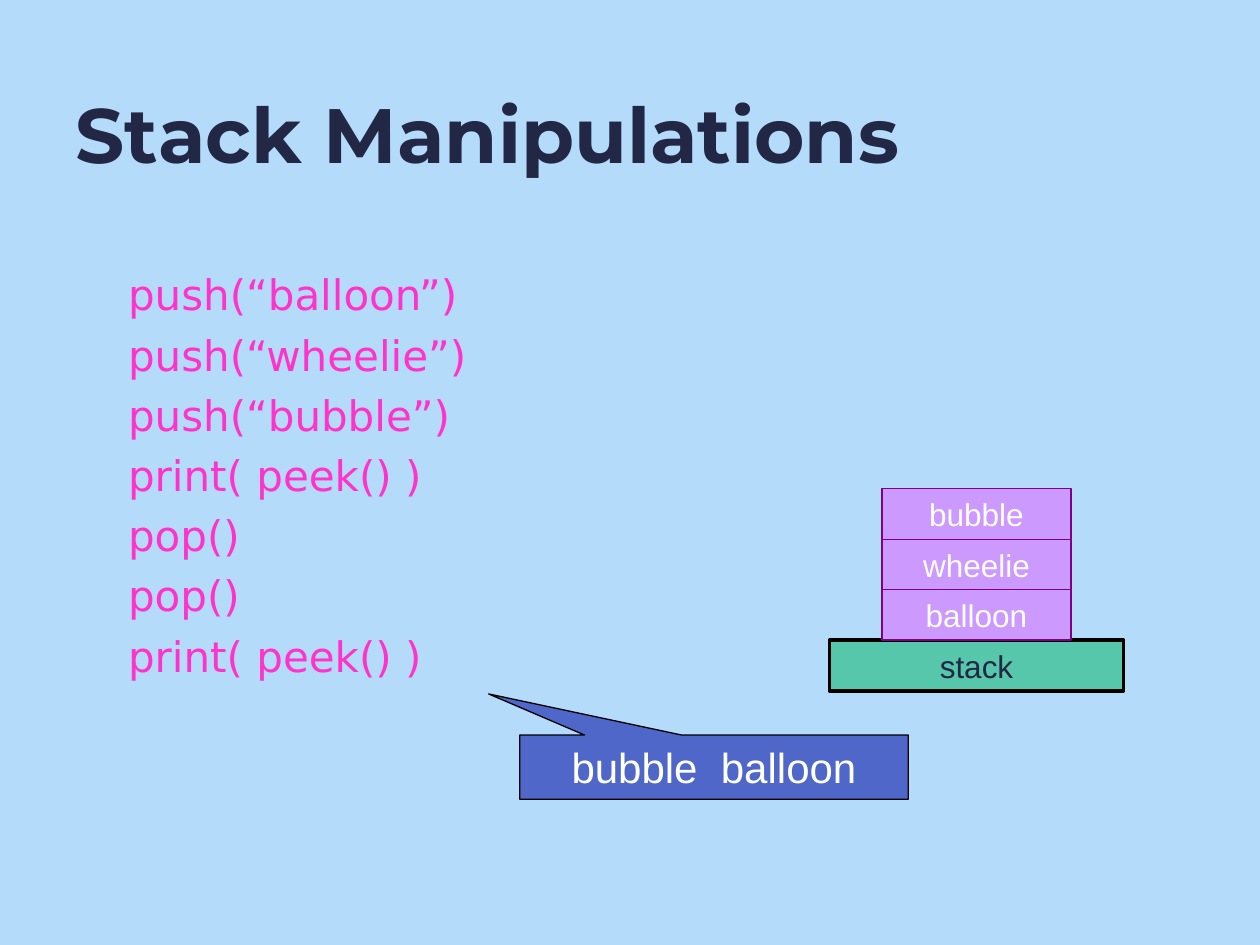
"""Build a slide that traces stack operations beside a drawn stack."""
from pptx import Presentation
from pptx.dml.color import RGBColor
from pptx.enum import shapes, text
from pptx.util import Pt


def paint(fill, tone):
    fill.solid()
    fill.fore_color.rgb = RGBColor.from_string(tone)


def write(para, words, size, face, tone, align=text.PP_ALIGN.LEFT):
    para.alignment = align
    run = para.add_run()
    run.text = words
    run.font.size = Pt(size)
    run.font.name = face
    paint(run.font.fill, tone)
    return run


deck = Presentation()
deck.slide_width, deck.slide_height = Pt(720), Pt(540)
slide = deck.slides.add_slide(deck.slide_layouts[1])
paint(slide.background.fill, "B4DCFA")

title, body = slide.placeholders
places = [(title, 36, 19.5, 660, 113), (body, 66, 150, 631, 330)]
for holder, left, top, width, height in places:
    holder.left, holder.top = Pt(left), Pt(top)
    holder.width, holder.height = Pt(width), Pt(height)
    holder.text_frame.auto_size = text.MSO_AUTO_SIZE.NONE

title.text_frame.vertical_anchor = text.MSO_ANCHOR.MIDDLE
head = write(title.text_frame.paragraphs[0], "Stack Manipulations", 44, "Montserrat", "212745")
head.font.bold = True

calls = ["push(“balloon”)", "push(“wheelie”)", "push(“bubble”)",
         "print( peek() )", "pop()", "pop()", "print( peek() )"]
frame = body.text_frame
for step, call in enumerate(calls):
    para = frame.add_paragraph() if step else frame.paragraphs[0]
    para.space_before = Pt(5.6)
    props = para._p.get_or_add_pPr()
    props.set("marL", str(Pt(27)))
    props.set("indent", str(-Pt(27)))
    props.append(props.makeelement(
        "{http://schemas.openxmlformats.org/drawingml/2006/main}buNone", {}))
    write(para, call, 24, "DejaVu Sans", "FF33CC")

kind = shapes.MSO_SHAPE
base, pitch = 365.75, 28.8
boxes = [("stack", kind.RECTANGLE, 474, base, 168, 29.1, "56C7AA", "000000", 2, 18, "212745")]
for level, item in enumerate(["balloon", "wheelie", "bubble"], 1):
    boxes.append((item, kind.RECTANGLE, 504, base - level * pitch, 108, pitch,
                  "CC99FF", "800080", 0.75, 18, "FFFFFF"))
boxes.append(("bubble  balloon", kind.RECTANGULAR_CALLOUT, 297, 420, 222, 36.7,
              "4E67C8", "000000", 0.75, 24, "FFFFFF"))

for words, form, left, top, width, height, tone, edge, weight, size, ink in boxes:
    box = slide.shapes.add_shape(form, Pt(left), Pt(top), Pt(width), Pt(height))
    box.shadow.inherit = False
    paint(box.fill, tone)
    paint(box.line.fill, edge)
    box.line.width = Pt(weight)
    box.text_frame.word_wrap = True
    box.text_frame.vertical_anchor = text.MSO_ANCHOR.MIDDLE
    write(box.text_frame.paragraphs[0], words, size, "Arial", ink, text.PP_ALIGN.CENTER)
    if form == kind.RECTANGULAR_CALLOUT:
        box.adjustments[0], box.adjustments[1] = -0.58, -1.14

deck.save("out.pptx")
